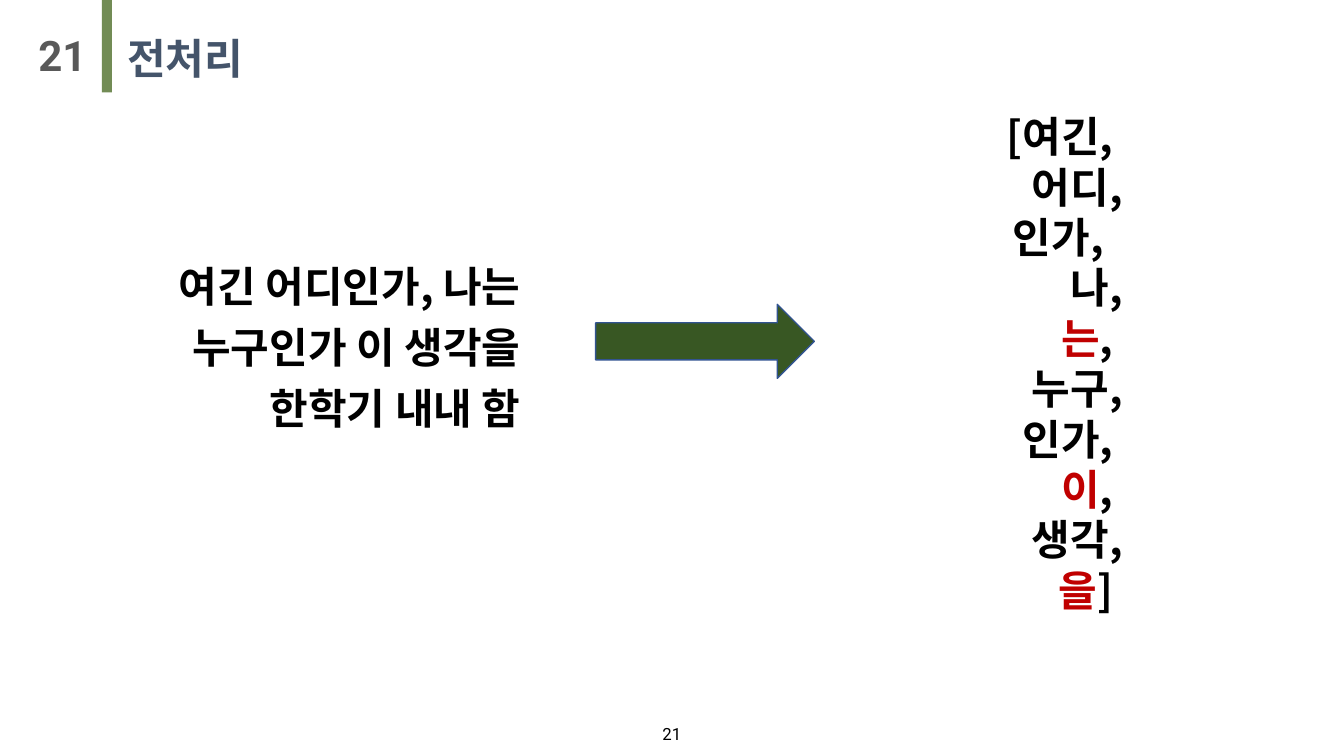
import pptx
import pptx.dml.color
import pptx.enum.shapes
import pptx.enum.text
import pptx.oxml.ns
import pptx.util
from lxml import etree

Pt = pptx.util.Pt
qn = pptx.oxml.ns.qn
ALIGN = pptx.enum.text.PP_ALIGN
SHAPE = pptx.enum.shapes.MSO_SHAPE

KOREAN, HEADING, NUMBER = "Noto Sans CJK KR", "Montserrat", "Roboto"
BLACK, RED, GREY, SLATE = "000000", "C00000", "595959", "44546A"
SAGE, GREEN, BLUE = "728C55", "385723", "325491"

TITLE = "전처리"
PAGE = "21"
SENTENCE = "여긴 어디인가, 나는 누구인가 이 생각을 한학기 내내 함"
# (before, particle in red, after)
TOKENS = [
    ("[여긴, ", "", ""),
    ("어디,", "", ""),
    (" 인가,  ", "", ""),
    ("나,", "", ""),
    (" ", "는", ", "),
    ("누구,", "", ""),
    (" 인가, ", "", ""),
    ("", "이", ", "),
    ("생각,", "", ""),
    (" ", "을", "] "),
]
# The row is tall enough for the three wrapped lines of the sentence
COLUMNS, COLUMN_WIDTH, ROW_HEIGHT = 3, 290.4, 138


def rgb(value):
    return pptx.dml.color.RGBColor.from_string(value)


def add_run(p, text, font, size, color, bold=True):
    r = p.add_run()
    r.text = text
    r.font.name, r.font.size, r.font.bold = font, Pt(size), bold
    r.font.color.rgb = rgb(color)
    ea = etree.SubElement(r._r.get_or_add_rPr(), qn("a:ea"))
    ea.set("typeface", font)


def add_text_frame(s, box, inset_x, inset_y):
    tf = s.shapes.add_textbox(*map(Pt, box)).text_frame
    tf.word_wrap = True
    tf.margin_left = tf.margin_right = Pt(inset_x)
    tf.margin_top = tf.margin_bottom = Pt(inset_y)
    return tf


def add_filled_shape(s, kind, box, fill, line=None):
    sp = s.shapes.add_shape(kind, *map(Pt, box))
    sp.shadow.inherit = False
    sp.fill.solid()
    sp.fill.fore_color.rgb = rgb(fill)
    if line:
        sp.line.color.rgb = rgb(line)
        sp.line.width = Pt(1)
    else:
        sp.line.fill.background()


def clear_cell(cell):
    """Remove the fill and all four borders."""
    cell.fill.background()
    tcPr = cell._tc.get_or_add_tcPr()
    for i, side in enumerate(("a:lnL", "a:lnR", "a:lnT", "a:lnB")):
        ln = etree.Element(qn(side), w="0")
        etree.SubElement(ln, qn("a:noFill"))
        tcPr.insert(i, ln)


def add_header(s):
    tf = add_text_frame(s, (89.3, 21.6, 733, 40.3), 1.5, 1.5)
    add_run(tf.paragraphs[0], TITLE, HEADING, 30, SLATE)
    add_filled_shape(s, SHAPE.RECTANGLE, (72.7, 0, 7.2, 66), SAGE)
    tf = add_text_frame(s, (27.4, 20.9, 90, 36), 0, 0)
    add_run(tf.paragraphs[0], PAGE, NUMBER, 30, GREY)


def add_footer(s):
    tf = add_text_frame(s, (470.9, 514.8, 18, 18), 2, 2)
    tf.word_wrap = False
    p = tf.paragraphs[0]
    p.alignment = ALIGN.CENTER
    add_run(p, PAGE, NUMBER, 12, BLACK, bold=False)


def add_sentence(s):
    box = (88.6, 177.8, COLUMNS * COLUMN_WIDTH, ROW_HEIGHT)
    table = s.shapes.add_table(1, COLUMNS, *map(Pt, box)).table
    table.first_row = table.horz_banding = False
    for column in table.columns:
        column.width = Pt(COLUMN_WIDTH)
    for cell in table.iter_cells():
        clear_cell(cell)
    cell = table.cell(0, 0)
    cell.vertical_anchor = pptx.enum.text.MSO_ANCHOR.MIDDLE
    p = cell.text_frame.paragraphs[0]
    p.alignment = ALIGN.RIGHT
    add_run(p, SENTENCE, KOREAN, 30, BLACK)


def add_tokens(s):
    tf = add_text_frame(s, (329, 75.6, 480.2, 370.8), 7.2, 3.6)
    for i, token in enumerate(TOKENS):
        p = tf.add_paragraph() if i else tf.paragraphs[0]
        p.alignment = ALIGN.RIGHT
        p.line_spacing = Pt(36)
        for text, color in zip(token, (BLACK, RED, BLACK)):
            if text:
                add_run(p, text, KOREAN, 30, color)


def main():
    prs = pptx.Presentation()
    prs.slide_width, prs.slide_height = Pt(960), Pt(540)
    s = prs.slides.add_slide(prs.slide_layouts[6])
    add_footer(s)
    add_header(s)
    add_sentence(s)
    add_tokens(s)
    add_filled_shape(s, SHAPE.RIGHT_ARROW, (425.5, 217.4, 156.2, 52.9), GREEN, BLUE)
    prs.save("out.pptx")


if __name__ == "__main__":
    main()
